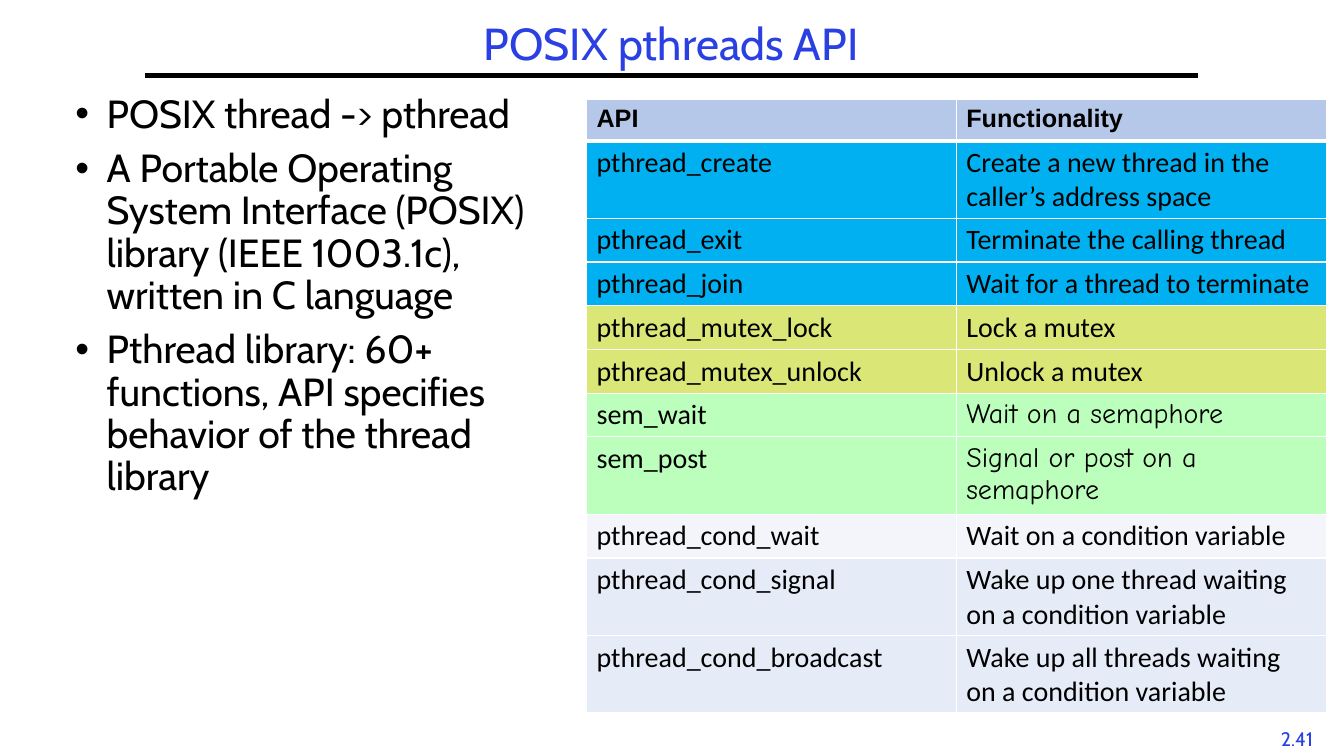
from dataclasses import dataclass

from pptx import Presentation
from pptx.dml.color import RGBColor as Color
from pptx.enum.shapes import MSO_CONNECTOR as Connector
from pptx.enum.text import MSO_ANCHOR as Anchor, PP_ALIGN as Align
from pptx.oxml.ns import qn
from pptx.util import Cm, Pt
from lxml.etree import SubElement

# Content
TITLE = "POSIX pthreads API"
PAGE_NUMBER = "2.41"
BULLETS = [
    "POSIX thread -> pthread",
    "A Portable Operating System Interface (POSIX) library (IEEE 1003.1c), written in C language",
    "Pthread library: 60+ functions, API specifies behavior of the thread library",
]
HEADER = ("API", "Functionality")
# Each group: fill name, then (function, description) rows
GROUPS = [
    ("thread", [
        ("pthread_create", "Create a new thread in the caller’s address space"),
        ("pthread_exit", "Terminate the calling thread"),
        ("pthread_join", "Wait for a thread to terminate"),
    ]),
    ("mutex", [
        ("pthread_mutex_lock", "Lock a mutex"),
        ("pthread_mutex_unlock", "Unlock a mutex"),
    ]),
    ("semaphore", [
        ("sem_wait", "Wait on a semaphore"),
        ("sem_post", "Signal or post on a semaphore"),
    ]),
    ("wait", [("pthread_cond_wait", "Wait on a condition variable")]),
    ("wake", [
        ("pthread_cond_signal", "Wake up one thread waiting on a condition variable"),
        ("pthread_cond_broadcast", "Wake up all threads waiting on a condition variable"),
    ]),
]


@dataclass(frozen=True)
class Theme:
    blue: str = "2A40E2"
    black: str = "000000"
    white: str = "FFFFFF"
    header: str = "B6C8E9"
    thread: str = "00B0F0"
    mutex: str = "DAE777"
    semaphore: str = "BCFFBC"
    wait: str = "F3F5FB"
    wake: str = "E5EBF7"
    main_font: str = "Cabin"
    header_font: str = "Arial"
    cell_font: str = "Calibri"
    semaphore_font: str = "Comic Neue"
    title_size: int = 32
    body_size: int = 28
    cell_size: int = 20
    header_size: int = 18
    page_size: int = 14


THEME = Theme()


def add_span(para, text, font, size, color=THEME.black, bold=False):
    span = para.add_run()
    span.text = text
    span.font.name = font
    span.font.size = Pt(size)
    span.font.bold = bold
    span.font.color.rgb = Color.from_string(color)


def add_bullet(para, indent):
    props = para._p.get_or_add_pPr()
    props.set("marL", str(indent))
    props.set("indent", str(-indent))
    SubElement(props, qn("a:buFont"), typeface="Arial")
    SubElement(props, qn("a:buChar"), char="•")


def add_borders(cell, top, bottom):
    props = cell._tc.get_or_add_tcPr()
    for side, width in (("L", 1), ("R", 1), ("T", top), ("B", bottom)):
        line = SubElement(props, qn(f"a:ln{side}"), w=str(Pt(width)))
        fill = SubElement(line, qn("a:solidFill"))
        SubElement(fill, qn("a:srgbClr"), val=THEME.white)


def add_title(page):
    title = page.shapes.title
    title.left, title.top, title.width, title.height = Cm(3.66), Cm(0.43), Cm(26.52), Cm(1.47)
    frame = title.text_frame
    frame.vertical_anchor = Anchor.MIDDLE
    para = frame.paragraphs[0]
    para.alignment = Align.CENTER
    para.line_spacing = 0.9
    add_span(para, TITLE, THEME.main_font, THEME.title_size, THEME.blue)

    # Rule under the title
    rule = page.shapes.add_connector(
        Connector.STRAIGHT, title.left, Cm(1.9), title.left + title.width, Cm(1.9))
    rule.line.color.rgb = Color.from_string(THEME.black)
    rule.line.width = Pt(3)
    SubElement(rule._element.spPr, qn("a:effectLst"))


def add_bullets(page):
    box = page.shapes.add_textbox(Cm(1.65), Cm(2.26), Cm(13.13), Cm(13.77))
    frame = box.text_frame
    frame.word_wrap = True
    for index, text in enumerate(BULLETS):
        para = frame.add_paragraph() if index else frame.paragraphs[0]
        add_bullet(para, Cm(0.79))
        para.line_spacing = 0.9
        if index:
            para.space_before = Pt(0.3 * THEME.body_size)
        add_span(para, text, THEME.main_font, THEME.body_size)


def add_api_table(page):
    rows = [("header", HEADER)]
    rows += [(group, entry) for group, entries in GROUPS for entry in entries]
    row_height = Cm(1.04)
    table = page.shapes.add_table(
        len(rows), len(HEADER), Cm(14.78), Cm(2.51), Cm(18.64), row_height * len(rows)).table
    for row in table.rows:
        row.height = row_height

    for r, (group, texts) in enumerate(rows):
        is_header = group == "header"
        for c, text in enumerate(texts):
            cell = table.cell(r, c)
            add_borders(cell, top=3 if r == 1 else 1, bottom=3 if is_header else 1)
            cell.fill.solid()
            cell.fill.fore_color.rgb = Color.from_string(getattr(THEME, group))
            font, size = THEME.cell_font, THEME.cell_size
            if is_header:
                font, size = THEME.header_font, THEME.header_size
            elif group == "semaphore" and c == 1:
                font = THEME.semaphore_font
            add_span(cell.text_frame.paragraphs[0], text, font, size, bold=is_header)


def add_page_number(page):
    box = page.shapes.add_textbox(Cm(31.95), Cm(18.19), Cm(1.47), Cm(0.84))
    box.text_frame.word_wrap = False
    para = box.text_frame.paragraphs[0]
    para.alignment = Align.CENTER
    add_span(para, PAGE_NUMBER, THEME.main_font, THEME.page_size, THEME.blue)


def main():
    deck = Presentation()
    deck.slide_width, deck.slide_height = Cm(33.87), Cm(19.05)
    page = deck.slides.add_slide(deck.slide_layouts[5])
    add_title(page)
    add_bullets(page)
    add_api_table(page)
    add_page_number(page)
    deck.save("out.pptx")


if __name__ == "__main__":
    main()
